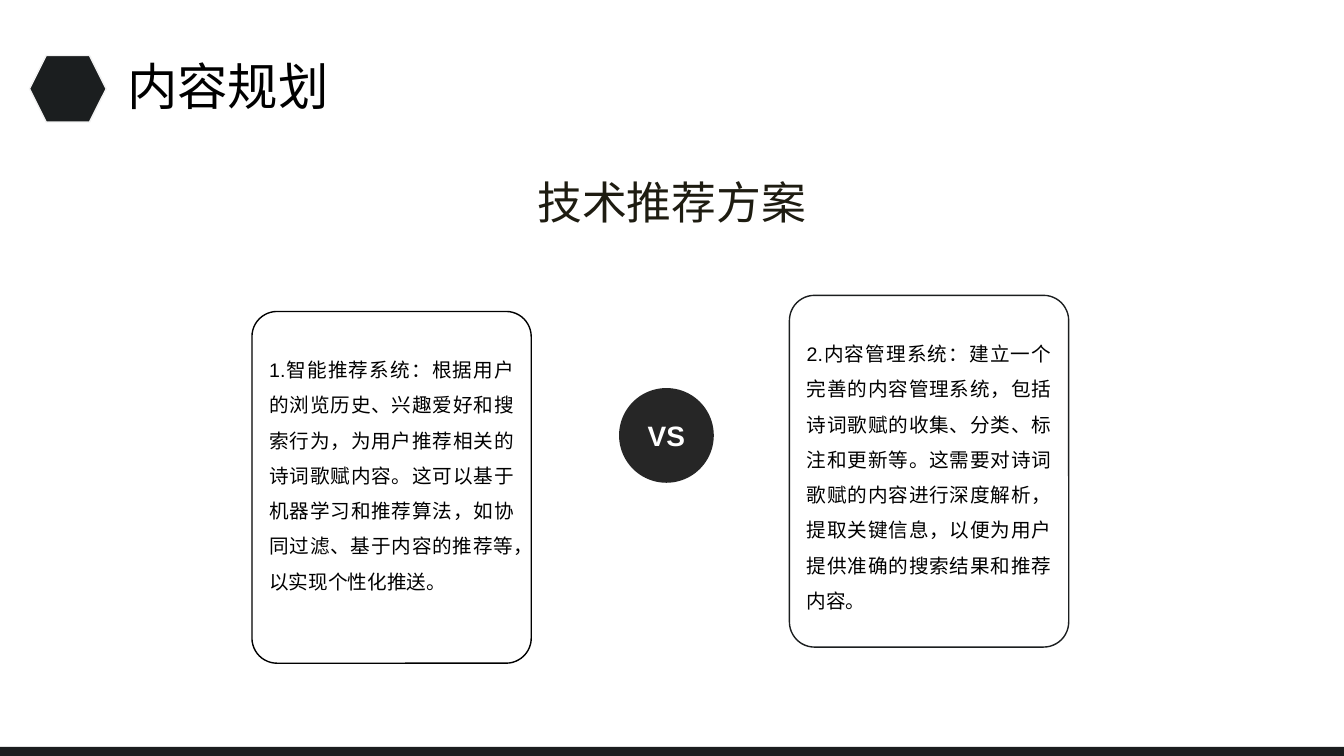
import dataclasses

import lxml.etree
import pptx
import pptx.dml.color
import pptx.enum.shapes
import pptx.enum.text
import pptx.oxml.ns
import pptx.util

SHAPE = pptx.enum.shapes.MSO_SHAPE
ALIGN = pptx.enum.text.PP_ALIGN
ANCHOR = pptx.enum.text.MSO_ANCHOR


@dataclasses.dataclass(frozen=True)
class Theme:
    font: str = "Arial"
    black: str = "000000"
    ink: str = "1B1E1F"
    badge: str = "262626"
    heading: str = "1E1C11"
    pale: str = "F2F2F2"
    white: str = "FFFFFF"
    title_size: int = 36
    heading_size: int = 32
    badge_size: int = 20
    body_size: int = 14


class SlideBuilder:
    """Places elements by percentages of the slide's width and height."""

    def __init__(self, deck, theme):
        self.deck = deck
        self.theme = theme
        self.slide = deck.slides.add_slide(deck.slide_layouts[5])

    def box(self, left, top, width, height):
        across, down = self.deck.slide_width, self.deck.slide_height
        return (round(across * left / 100), round(down * top / 100),
                round(across * width / 100), round(down * height / 100))

    def set_text(self, holder, text, size, color, align=ALIGN.CENTER,
                 anchor=ANCHOR.MIDDLE, spacing=1.0, bold=False):
        frame = holder.text_frame
        frame.text = text
        frame.word_wrap = True
        frame.auto_size = pptx.enum.text.MSO_AUTO_SIZE.NONE
        frame.vertical_anchor = anchor
        paragraph = frame.paragraphs[0]
        paragraph.alignment = align
        paragraph.line_spacing = spacing
        font = paragraph.runs[0].font
        font.name, font.size, font.bold = self.theme.font, pptx.util.Pt(size), bold
        font.color.rgb = pptx.dml.color.RGBColor.from_string(color)

    def title(self, area, text):
        title = self.slide.shapes.title
        title.left, title.top, title.width, title.height = self.box(*area)
        self.set_text(title, text, self.theme.title_size, self.theme.black,
                      align=ALIGN.LEFT, spacing=0.9)

    def heading(self, area, text):
        heading = self.slide.shapes.add_textbox(*self.box(*area))
        self.set_text(heading, text, self.theme.heading_size, self.theme.heading,
                      anchor=ANCHOR.TOP, spacing=1.4)

    def shape(self, kind, area, fill, line=None):
        shape = self.slide.shapes.add_shape(kind, *self.box(*area))
        shape.shadow.inherit = False
        shape.fill.solid()
        shape.fill.fore_color.rgb = pptx.dml.color.RGBColor.from_string(fill)
        if line:
            shape.line.color.rgb = pptx.dml.color.RGBColor.from_string(line)
            shape.line.width = pptx.util.Pt(1)
        else:
            shape.line.fill.background()
        return shape

    def badge(self, area, text):
        badge = self.shape(SHAPE.OVAL, area, self.theme.badge)
        self.set_text(badge, text, self.theme.badge_size, self.theme.white, bold=True)

    def card(self, area, text, line, bottom_inset):
        card = self.shape(SHAPE.ROUNDED_RECTANGLE, area, self.theme.white, line)
        card.adjustments[0] = 0.09
        # Let the background show through slightly
        color = card.element.find(".//" + pptx.oxml.ns.qn("a:srgbClr"))
        lxml.etree.SubElement(color, pptx.oxml.ns.qn("a:alpha"), val="80000")
        self.set_text(card, text, self.theme.body_size, self.theme.black,
                      align=ALIGN.JUSTIFY, spacing=1.5)
        card.text_frame.margin_bottom = pptx.util.Inches(bottom_inset)


def main():
    deck = pptx.Presentation()
    deck.slide_width = pptx.util.Inches(13.33)
    deck.slide_height = pptx.util.Inches(7.5)
    theme = Theme()
    page = SlideBuilder(deck, theme)

    # Footer bar and title row
    page.shape(SHAPE.RECTANGLE, (0, 98.8, 100, 1.2), theme.ink)
    page.title((8.7, 8, 33.9, 7.5), "内容规划")
    page.shape(SHAPE.HEXAGON, (2.2, 7.35, 5.7, 8.8), theme.ink, theme.pale)
    page.heading((11.18, 19.6, 77.64, 7.2), "技术推荐方案")

    # Two systems compared, with the badge between them
    page.badge((46.06, 51.33, 7.05, 12.53), "VS")
    card_width, card_height = 20.78, 46.53
    systems = (
        (18.75, 41.2, theme.black, 0.4,
         "1.智能推荐系统：根据用户的浏览历史、兴趣爱好和搜索行为，为用户推荐相关的"
         "诗词歌赋内容。这可以基于机器学习和推荐算法，如协同过滤、基于内容的推荐等，"
         "以实现个性化推送。"),
        (58.74, 39.07, theme.ink, 0.05,
         "2.内容管理系统：建立一个完善的内容管理系统，包括诗词歌赋的收集、分类、"
         "标注和更新等。这需要对诗词歌赋的内容进行深度解析，提取关键信息，"
         "以便为用户提供准确的搜索结果和推荐内容。"),
    )
    for left, top, line, bottom_inset, description in systems:
        page.card((left, top, card_width, card_height), description, line, bottom_inset)

    deck.save("out.pptx")


if __name__ == "__main__":
    main()
